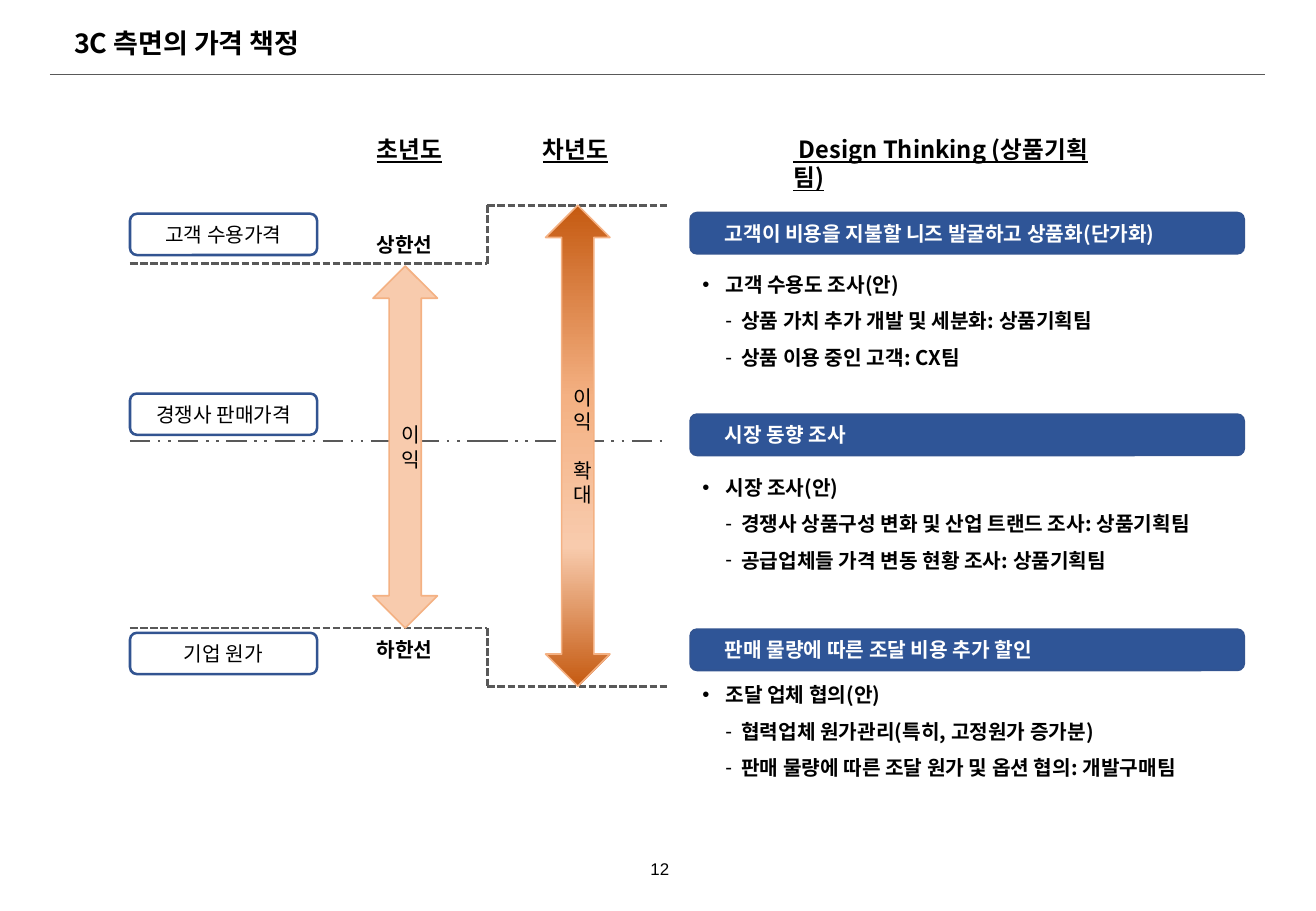
from lxml.etree import SubElement
from pptx import Presentation
from pptx.dml.color import RGBColor
from pptx.enum.dml import MSO_LINE as Dash
from pptx.enum.shapes import MSO_CONNECTOR as Connector, MSO_SHAPE as Shape
from pptx.enum.text import MSO_ANCHOR as Anchor, MSO_AUTO_SIZE as AutoSize, PP_ALIGN as Align
from pptx.oxml.ns import qn
from pptx.util import Inches, Pt

KOREAN, LATIN = "Noto Sans CJK KR", "Arial"
BLACK, WHITE = RGBColor(0, 0, 0), RGBColor(255, 255, 255)
GRAY = RGBColor(0x59, 0x59, 0x59)
NAVY, BLUE = RGBColor(0x32, 0x54, 0x91), RGBColor(0x2F, 0x55, 0x97)
PEACH, ORANGE = RGBColor(0xF8, 0xCB, 0xAD), RGBColor(0xF4, 0xB1, 0x83)
RUST = RGBColor(0xC5, 0x5A, 0x11)

TITLE = "3C 측면의 가격 책정"
TEAM_HEADING = " Design Thinking (상품기획팀)"
PAGE_NUMBER = "12"
PRICE_LABELS = [("고객 수용가격", 1.76), ("경쟁사 판매가격", 3.24), ("기업 원가", 5.21)]
YEAR_HEADINGS = [("초년도", 3.0), ("차년도", 4.37)]
LIMITS = [("상한선", 1.86), ("하한선", 5.2)]
ACTIONS = [
    (1.75, 2.09, "고객이 비용을 지불할 니즈 발굴하고 상품화(단가화)", "고객 수용도 조사(안)",
     ["상품 가치 추가 개발 및 세분화: 상품기획팀", "상품 이용 중인 고객: CX팀"]),
    (3.41, 3.76, "시장 동향 조사", "시장 조사(안)",
     ["경쟁사 상품구성 변화 및 산업 트랜드 조사: 상품기획팀",
      "공급업체들 가격 변동 현황 조사: 상품기획팀"]),
    (5.18, 5.47, "판매 물량에 따른 조달 비용 추가 할인", "조달 업체 협의(안)",
     ["협력업체 원가관리(특히, 고정원가 증가분)",
      "판매 물량에 따른 조달 원가 및 옵션 협의: 개발구매팀"]),
]
GRADIENT = [(0, RUST), (40, ORANGE), (71, PEACH), (100, RUST)]

LABEL_LEFT, STEP, CHART_RIGHT, ACTION_LEFT = 1.07, 4.01, 5.5, 5.68
NEXT_TOP, FIRST_TOP, MARKET, FIRST_BOTTOM, NEXT_BOTTOM = 1.69, 2.17, 3.63, 5.17, 5.65
ROW_HEIGHT, ARROW_WIDTH = 0.34, 0.53
LINES = [
    (0.41, 0.61, 10.41, 0.61, 0.25, None),
    (LABEL_LEFT, FIRST_TOP, STEP, FIRST_TOP, 1.5, Dash.SQUARE_DOT),
    (STEP, FIRST_TOP, STEP, NEXT_TOP, 1.5, Dash.SQUARE_DOT),
    (STEP, NEXT_TOP, CHART_RIGHT, NEXT_TOP, 1.5, Dash.SQUARE_DOT),
    (LABEL_LEFT, MARKET, STEP, MARKET, 1.5, Dash.DASH_DOT_DOT),
    (STEP, MARKET, CHART_RIGHT, MARKET, 1.5, Dash.DASH_DOT_DOT),
    (LABEL_LEFT, FIRST_BOTTOM, STEP, FIRST_BOTTOM, 1.5, Dash.SQUARE_DOT),
    (STEP, FIRST_BOTTOM, STEP, NEXT_BOTTOM, 1.5, Dash.SQUARE_DOT),
    (STEP, NEXT_BOTTOM, CHART_RIGHT, NEXT_BOTTOM, 1.5, Dash.SQUARE_DOT),
]

deck = Presentation()
deck.slide_width, deck.slide_height = Inches(10.83), Inches(7.5)
page = deck.slides.add_slide(deck.slide_layouts.get_by_name("Comparison"))


def place(box, left, top, width, height):
    box.left, box.top, box.width, box.height = map(Inches, (left, top, width, height))


def write(box, lines, size=12, color=BLACK, bold=False, underline=False,
          align=Align.LEFT, anchor=Anchor.TOP, font=KOREAN):
    frame = box.text_frame
    frame.text = "\n".join(lines)
    frame.word_wrap, frame.auto_size = True, AutoSize.NONE
    frame.vertical_anchor = anchor
    for para in frame.paragraphs:
        para.alignment, para.space_before = align, Pt(0)
        for span in para.runs:
            span.font.name, span.font.size = font, Pt(size)
            span.font.bold, span.font.underline = bold, underline
            span.font.color.rgb = color
            SubElement(span.font._element, qn("a:ea"), typeface=font)


def set_bullet(para, mark, margin, hanging):
    props = para._p.get_or_add_pPr()
    props.set("marL", str(Inches(margin)))
    props.set("indent", str(-Inches(hanging)))
    if mark:
        SubElement(props, qn("a:buFont"), typeface=LATIN)
        SubElement(props, qn("a:buChar"), char=mark)
    else:
        SubElement(props, qn("a:buNone"))


def add_line(x1, y1, x2, y2, width, dash):
    line = page.shapes.add_connector(Connector.STRAIGHT, *map(Inches, (x1, y1, x2, y2)))
    line.line.color.rgb, line.line.width = GRAY, Pt(width)
    if dash:
        line.line.dash_style = dash
    SubElement(line._element.spPr, qn("a:effectLst"))


def add_box(kind, area, fill, border, width):
    box = page.shapes.add_shape(kind, *map(Inches, area))
    box.shadow.inherit = False
    box.fill.solid()
    box.fill.fore_color.rgb = fill
    box.line.color.rgb, box.line.width = border, Pt(width)
    return box


def add_text(text, area, **style):
    write(page.shapes.add_textbox(*map(Inches, area)), [text], **style)


def add_arrow(left, top, bottom, lines):
    area = (left, top, ARROW_WIDTH, bottom - top)
    arrow = add_box(Shape.UP_DOWN_ARROW, area, PEACH, ORANGE, 1)
    write(arrow, lines, align=Align.CENTER, anchor=Anchor.MIDDLE)
    return arrow


def set_gradient(box, stops):
    box.fill.gradient()
    box.fill.gradient_angle = 270
    stop_list = box._element.spPr.find(qn("a:gradFill")).find(qn("a:gsLst"))
    for stop in list(stop_list):
        stop_list.remove(stop)
    for share, color in stops:
        stop = SubElement(stop_list, qn("a:gs"), pos=str(share * 1000))
        SubElement(stop, qn("a:srgbClr"), val=str(color))


title, *bodies = page.placeholders
heading, *lists = bodies[:4]
for extra in bodies[4:]:
    extra._element.getparent().remove(extra._element)

place(title, 0.51, 0.17, 5.8, 0.37)
write(title, [TITLE], size=16, bold=True, anchor=Anchor.MIDDLE)
place(heading, 6.43, 1.06, 2.84, 0.58)
write(heading, [TEAM_HEADING], size=14, bold=True, underline=True)
set_bullet(heading.text_frame.paragraphs[0], None, 0, 0)

for line in LINES:
    add_line(*line)
add_arrow(3.07, FIRST_TOP + 0.02, FIRST_BOTTOM, ["이익"])
growth = add_arrow(4.49, NEXT_TOP, NEXT_BOTTOM, ["이익", "확대"])
growth.text_frame.paragraphs[1].space_before = Pt(14.5)
set_gradient(growth, GRADIENT)

for text, top in PRICE_LABELS:
    label = add_box(Shape.ROUNDED_RECTANGLE, (LABEL_LEFT, top, 1.54, ROW_HEIGHT), WHITE, NAVY, 1.5)
    write(label, [text], align=Align.CENTER, anchor=Anchor.MIDDLE)
for text, left in YEAR_HEADINGS:
    add_text(text, (left, 1.06, 0.85, ROW_HEIGHT), size=14, bold=True, underline=True)
for text, top in LIMITS:
    add_text(text, (3, top, 0.75, 0.3), bold=True)

for body, (bar_top, list_top, goal, survey, tasks) in zip(lists, ACTIONS):
    bar = add_box(Shape.ROUNDED_RECTANGLE, (ACTION_LEFT, bar_top, 4.56, ROW_HEIGHT), BLUE, NAVY, 1)
    write(bar, [goal], color=WHITE, bold=True, anchor=Anchor.MIDDLE)
    bar.text_frame.margin_left = Inches(0.27)
    place(body, ACTION_LEFT, list_top, 4.89, 0.97)
    write(body, [survey, *tasks], bold=True)
    for row, para in enumerate(body.text_frame.paragraphs):
        para.line_spacing = 1.5
        if row:
            para.level = 1
            set_bullet(para, "-", 0.32, 0.13)
        else:
            set_bullet(para, "•", 0.19, 0.19)

add_text(PAGE_NUMBER, (4.21, 6.95, 2.44, 0.4), size=10, align=Align.CENTER,
         anchor=Anchor.MIDDLE, font=LATIN)
deck.save("out.pptx")
